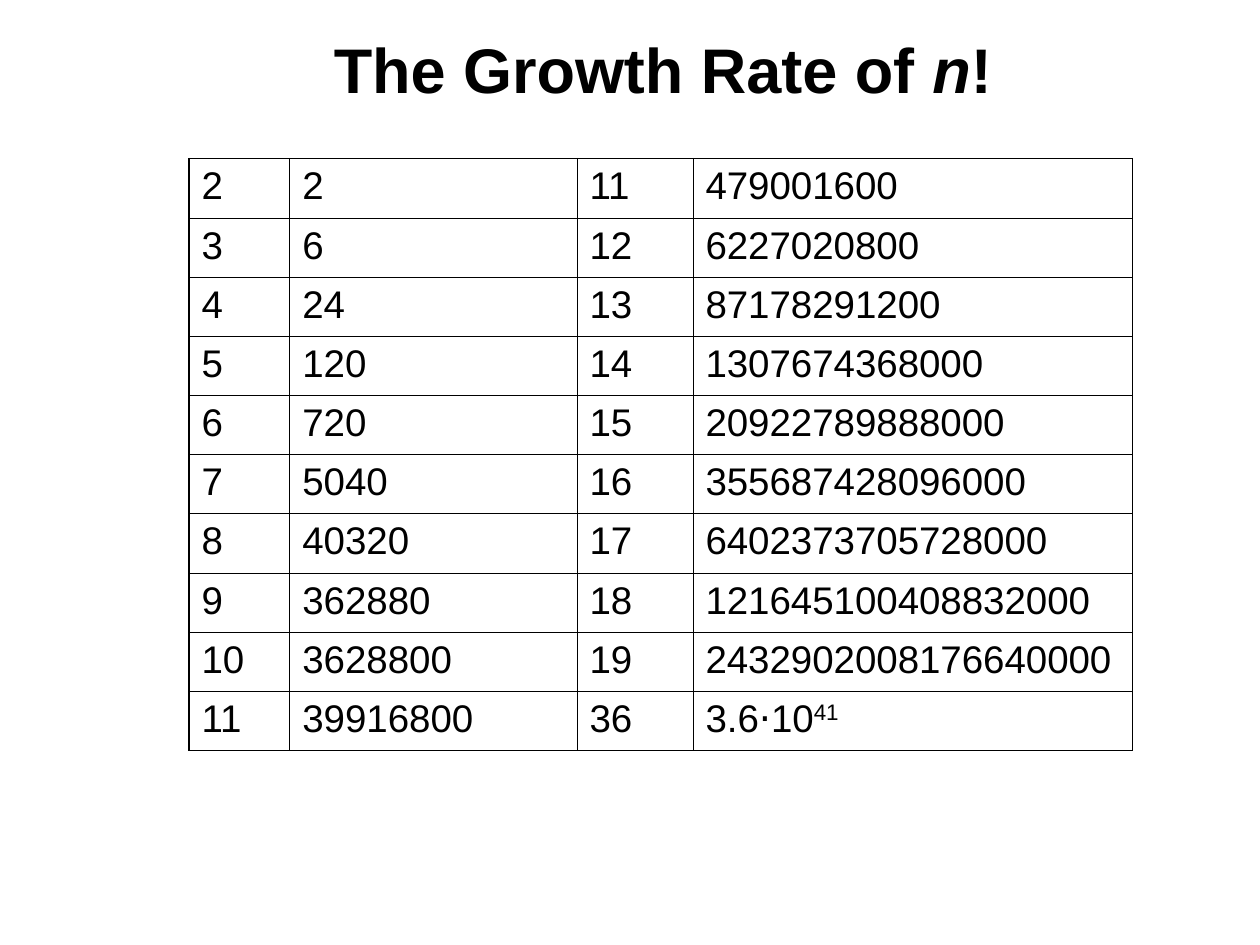
from lxml import etree
from pptx import Presentation
from pptx.dml.color import RGBColor
from pptx.enum.text import MSO_ANCHOR, PP_ALIGN
from pptx.oxml.ns import qn
from pptx.util import Inches, Pt

CENTER = PP_ALIGN.CENTER
LEFT = PP_ALIGN.LEFT
MIDDLE = MSO_ANCHOR.MIDDLE

COLORS = {"ink": "000000"}
FONT = "Arial"
INNER_LINE, OUTER_LINE = 0.45, 0.96

COLUMN_WIDTHS = [0.8, 2.28, 0.92, 3.49]
ROW_HEIGHT = 0.47
SUPERSCRIPT = "30000"

# Each row: n, n!, n, n!; a tuple holds a base and its exponent
FACTORIALS = [
    ["2", "2", "11", "479001600"],
    ["3", "6", "12", "6227020800"],
    ["4", "24", "13", "87178291200"],
    ["5", "120", "14", "1307674368000"],
    ["6", "720", "15", "20922789888000"],
    ["7", "5040", "16", "355687428096000"],
    ["8", "40320", "17", "6402373705728000"],
    ["9", "362880", "18", "121645100408832000"],
    ["10", "3628800", "19", "2432902008176640000"],
    ["11", "39916800", "36", ("3.6⋅10", "41")],
]


def add_span(para, text, size=22, bold=False, italic=False, raised=False):
    span = para.add_run()
    span.text = text
    font = span.font
    font.name, font.size = FONT, Pt(size)
    font.bold, font.italic = bold, italic
    font.color.rgb = RGBColor.from_string(COLORS["ink"])
    if raised:
        span._r.get_or_add_rPr().set("baseline", SUPERSCRIPT)


def add_title(page):
    box = page.shapes.add_textbox(Inches(0.58), Inches(0.08), Inches(9.5), Inches(0.92))
    frame = box.text_frame
    frame.word_wrap = True
    frame.vertical_anchor = MIDDLE
    para = frame.paragraphs[0]
    para.alignment = CENTER
    for text, italic in [("The Growth Rate of ", False), ("n", True), ("! ", False)]:
        add_span(para, text, size=36, bold=True, italic=italic)


def set_border(cell, side, width):
    properties = cell._tc.get_or_add_tcPr()
    line = etree.SubElement(properties, qn(f"a:ln{side}"), w=str(Pt(width)))
    fill = etree.SubElement(line, qn("a:solidFill"))
    etree.SubElement(fill, qn("a:srgbClr"), val=COLORS["ink"])


def fill_cell(cell, content, outer_sides):
    for side in "LRTB":
        set_border(cell, side, OUTER_LINE if side in outer_sides else INNER_LINE)
    cell.fill.background()
    para = cell.text_frame.paragraphs[0]
    para.alignment = LEFT
    parts = content if isinstance(content, tuple) else (content,)
    for index, text in enumerate(parts):
        add_span(para, text, raised=index > 0)


def add_factorial_table(page):
    row_count, column_count = len(FACTORIALS), len(COLUMN_WIDTHS)
    table = page.shapes.add_table(
        row_count, column_count, Inches(1.5), Inches(1.26),
        Inches(sum(COLUMN_WIDTHS)), Inches(ROW_HEIGHT * row_count),
    ).table
    table.first_row = table.horz_banding = False
    for column, width in zip(table.columns, COLUMN_WIDTHS):
        column.width = Inches(width)
    for row_index, values in enumerate(FACTORIALS):
        table.rows[row_index].height = Inches(ROW_HEIGHT)
        for column_index, content in enumerate(values):
            # The frame around the whole table is heavier
            edges = {
                "L": column_index == 0,
                "R": column_index == column_count - 1,
                "T": row_index == 0,
                "B": row_index == row_count - 1,
            }
            outer_sides = [side for side, is_outer in edges.items() if is_outer]
            fill_cell(table.cell(row_index, column_index), content, outer_sides)


def main():
    deck = Presentation()
    deck.slide_width, deck.slide_height = Inches(10), Inches(7.5)
    page = deck.slides.add_slide(deck.slide_layouts[6])
    add_title(page)
    add_factorial_table(page)
    deck.save("out.pptx")


if __name__ == "__main__":
    main()
